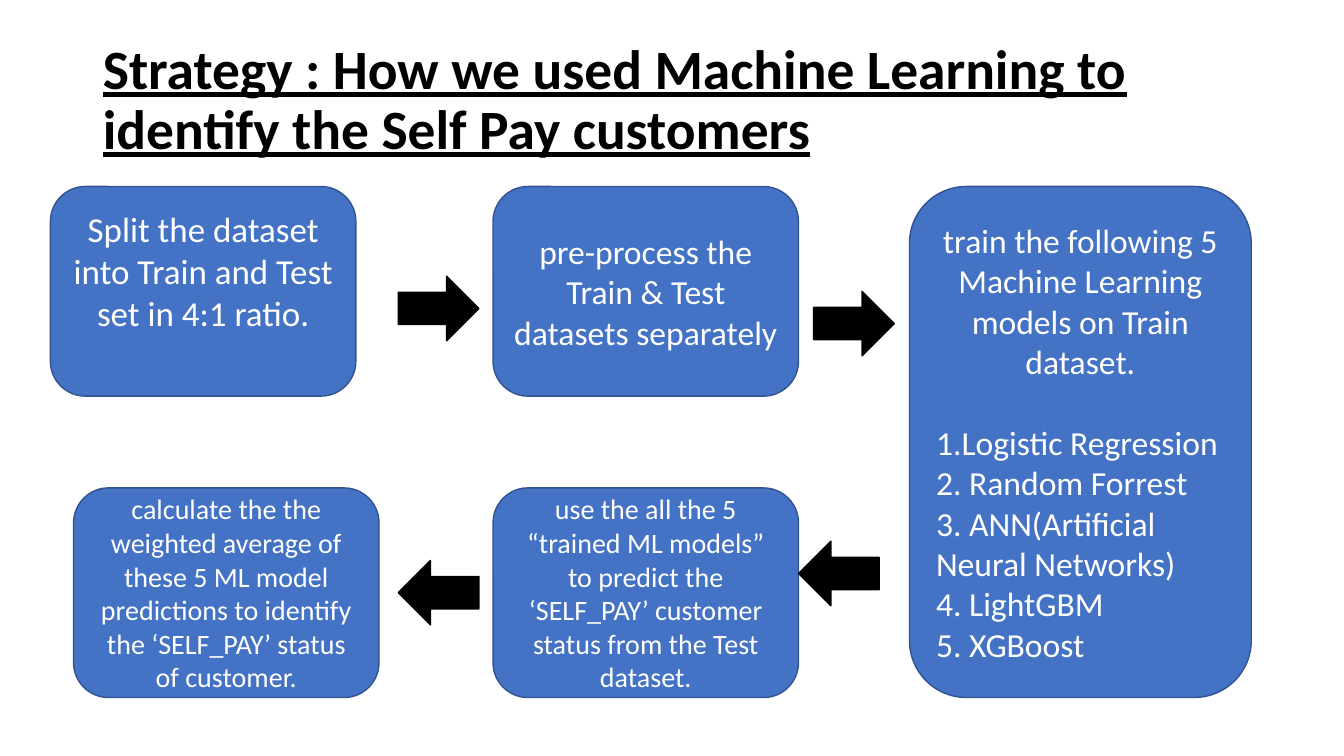
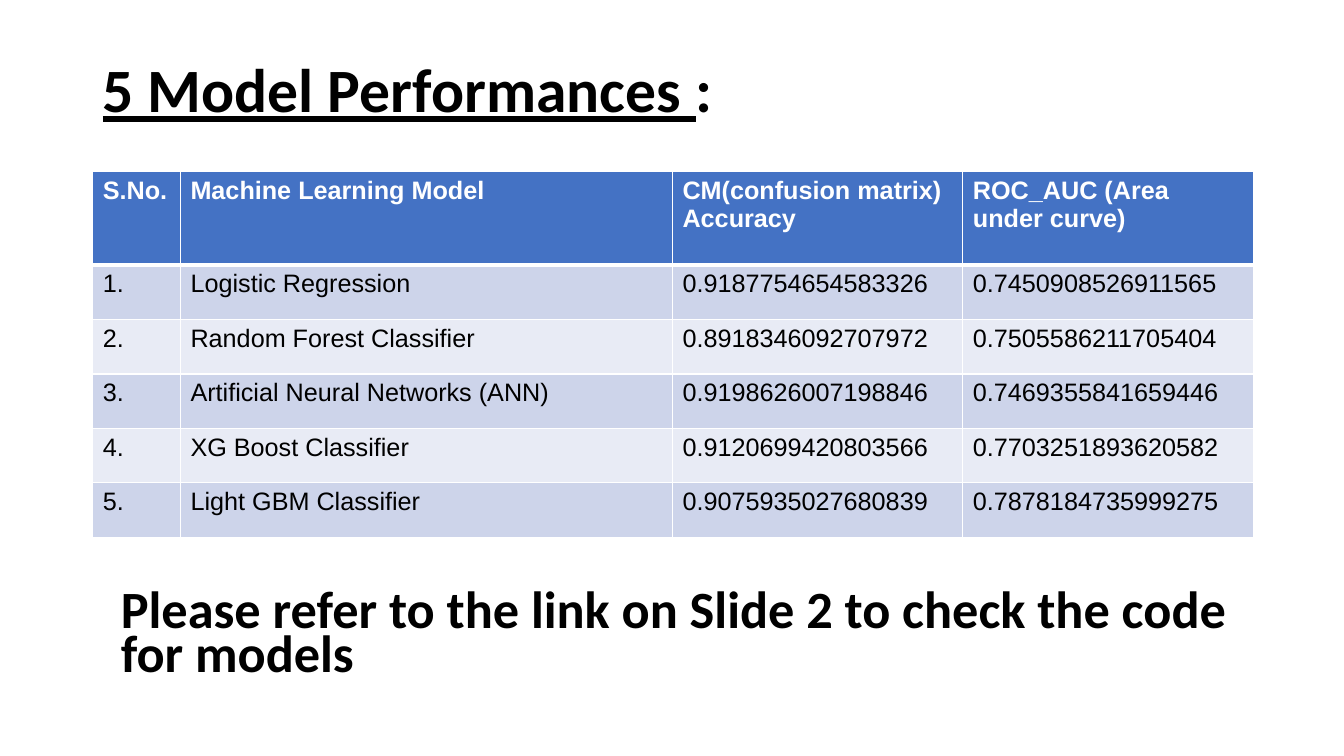
from lxml import etree
from pptx import Presentation
from pptx.dml.color import RGBColor
from pptx.enum.shapes import MSO_SHAPE
from pptx.enum.text import MSO_ANCHOR, MSO_AUTO_SIZE, PP_ALIGN
from pptx.oxml.ns import qn
from pptx.util import Inches, Pt

# Shared look
BLUE, BLUE_EDGE = "4472C4", "31538F"
BLACK, WHITE = "000000", "FFFFFF"
BANDS = ("CDD4EA", "E8EBF5")
LEFT_MARGIN, CONTENT_WIDTH = 0.92, 11.5

# Content: strategy flow
STRATEGY_TITLE = "Strategy : How we used Machine Learning to identify the Self Pay customers"
MODELS = ["1.Logistic Regression", "2. Random Forrest",
          "3. ANN(Artificial Neural Networks)", "4. LightGBM", "5. XGBoost"]
TOP_ROW, BOTTOM_ROW = 1.85, 4.84
STEP_WIDTH, STEP_HEIGHT = 3.03, 2.08
MIDDLE_COLUMN = 4.89
TRAIN_BOX = (9.02, TOP_ROW, 3.39, BOTTOM_ROW + STEP_HEIGHT - TOP_ROW)
# left, top, text size, bottom inset, text
STEPS = [
    (0.5, TOP_ROW, 25, 0.47, "Split the dataset into Train and Test set in 4:1 ratio."),
    (MIDDLE_COLUMN, TOP_ROW, 24, 0.05, "pre-process the Train & Test datasets separately"),
    (MIDDLE_COLUMN, BOTTOM_ROW, 20, 0.05,
     "use the all the 5 “trained ML models” to predict the ‘SELF_PAY’ "
     "customer status from the Test dataset."),
    (0.73, BOTTOM_ROW, 20, 0.05,
     "calculate the the weighted average of these 5 ML model predictions "
     "to identify the ‘SELF_PAY’ status of customer."),
]
TRAIN_INTRO = "train the following 5 Machine Learning models on Train dataset."
TRAIN_SIZE = 24
# left, top, rotation
ARROWS = [(3.95, 2.74, 0), (8.07, 2.89, 0), (7.92, 5.37, 180), (3.95, 5.56, 180)]

# Content: model performances
RESULTS_TITLE = ("5 Model Performances ", ":")
HEADINGS = ("S.No.", "Machine Learning Model", "CM(confusion matrix) Accuracy",
            "ROC_AUC (Area under curve)")
RESULTS = [
    ("Logistic Regression", "0.9187754654583326", "0.7450908526911565"),
    ("Random Forest Classifier", "0.8918346092707972", "0.7505586211705404"),
    ("Artificial Neural Networks (ANN)", "0.9198626007198846", "0.7469355841659446"),
    ("XG Boost Classifier", "0.9120699420803566", "0.7703251893620582"),
    ("Light GBM Classifier", "0.9075935027680839", "0.7878184735999275"),
]
COLUMN_WIDTHS = (0.87, 4.88, 2.88, 2.88)
HEADING_HEIGHT, RESULT_HEIGHT = 0.93, 0.54
CODE_NOTE = "Please refer to the link on Slide 2 to check the code for models"


def rgb(hex_code):
    return RGBColor.from_string(hex_code)


def box(left, top, width, height):
    return [Inches(length) for length in (left, top, width, height)]


def style(paragraph, size, color, face="Calibri", bold=False, align=PP_ALIGN.LEFT):
    font = paragraph.font
    font.size, font.name, font.bold = Pt(size), face, bold
    font.color.rgb = rgb(color)
    paragraph.alignment = align


def add_title_slide(deck, parts, size, height):
    """Add a slide whose title is underlined in its first part only."""
    slide = deck.slides.add_slide(deck.slide_layouts[5])
    title = slide.shapes.title
    title.left, title.top, title.width, title.height = box(
        LEFT_MARGIN, 0.4, CONTENT_WIDTH, height)
    frame = title.text_frame
    frame.auto_size = MSO_AUTO_SIZE.NONE
    frame.vertical_anchor = MSO_ANCHOR.MIDDLE
    heading = frame.paragraphs[0]
    style(heading, size, BLACK, bold=True)
    heading.line_spacing = 0.9
    for index, part in enumerate(parts):
        run = heading.add_run()
        run.text = part
        run.font.underline = index == 0
    return slide


def add_block(slide, preset, place, fill, edge):
    block = slide.shapes.add_shape(preset, *box(*place))
    block.shadow.inherit = False
    block.fill.solid()
    block.fill.fore_color.rgb = rgb(fill)
    block.line.color.rgb = rgb(edge)
    block.line.width = Pt(1)
    return block


def add_step(slide, place, size, text, bottom_inset=0.05):
    step = add_block(slide, MSO_SHAPE.ROUNDED_RECTANGLE, place, BLUE, BLUE_EDGE)
    frame = step.text_frame
    frame.word_wrap = True
    frame.vertical_anchor = MSO_ANCHOR.MIDDLE
    frame.margin_bottom = Inches(bottom_inset)
    frame.text = text
    style(frame.paragraphs[0], size, WHITE, align=PP_ALIGN.CENTER)
    return frame


def set_borders(cell, widths):
    """Draw white cell borders; widths are points for left, right, top, bottom."""
    properties = cell._tc.get_or_add_tcPr()
    for side, width in zip("LRTB", widths):
        line = etree.SubElement(properties, qn(f"a:ln{side}"), w=str(Pt(width)))
        fill = etree.SubElement(line, qn("a:solidFill"))
        etree.SubElement(fill, qn("a:srgbClr"), val=WHITE)


def build_strategy(deck):
    slide = add_title_slide(deck, [STRATEGY_TITLE], 39.6, 1.21)
    for left, top, size, bottom_inset, text in STEPS:
        add_step(slide, (left, top, STEP_WIDTH, STEP_HEIGHT), size, text, bottom_inset)

    # Training box with its list of models
    frame = add_step(slide, TRAIN_BOX, TRAIN_SIZE, TRAIN_INTRO)
    for index, model in enumerate(MODELS):
        item = frame.add_paragraph()
        item.text = model
        style(item, TRAIN_SIZE, WHITE)
        if index == 0:
            item.space_before = Pt(29)

    for left, top, rotation in ARROWS:
        arrow = add_block(slide, MSO_SHAPE.RIGHT_ARROW, (left, top, 0.8, 0.64), BLACK, BLACK)
        arrow.rotation = rotation


def build_results(deck):
    slide = add_title_slide(deck, RESULTS_TITLE, 44, 1.04)

    # Table of scores
    rows = [HEADINGS] + [(f"{n}.", *result) for n, result in enumerate(RESULTS, 1)]
    heights = [HEADING_HEIGHT] + [RESULT_HEIGHT] * len(RESULTS)
    scores = slide.shapes.add_table(
        len(rows), len(HEADINGS),
        *box(LEFT_MARGIN, 1.7, CONTENT_WIDTH, sum(heights))).table
    for column, width in zip(scores.columns, COLUMN_WIDTHS):
        column.width = Inches(width)
    for r, (values, height) in enumerate(zip(rows, heights)):
        scores.rows[r].height = Inches(height)
        heading = r == 0
        for c, value in enumerate(values):
            cell = scores.cell(r, c)
            cell.text = value
            style(cell.text_frame.paragraphs[0], 18, WHITE if heading else BLACK,
                  face="Arial", bold=heading)
            set_borders(cell, (1, 1, 3 if r == 1 else 1, 3 if heading else 1))
            cell.fill.solid()
            cell.fill.fore_color.rgb = rgb(BLUE if heading else BANDS[(r - 1) % 2])

    # Note below the table
    frame = slide.shapes.add_textbox(*box(1.1, 5.8, CONTENT_WIDTH, 1.04)).text_frame
    frame.word_wrap = True
    frame.vertical_anchor = MSO_ANCHOR.MIDDLE
    frame.text = CODE_NOTE
    style(frame.paragraphs[0], 37.4, BLACK, bold=True)
    frame.paragraphs[0].line_spacing = 0.7


def main():
    deck = Presentation()
    deck.slide_width, deck.slide_height = Inches(13.33), Inches(7.5)
    build_strategy(deck)
    build_results(deck)
    deck.save("out.pptx")


if __name__ == "__main__":
    main()
